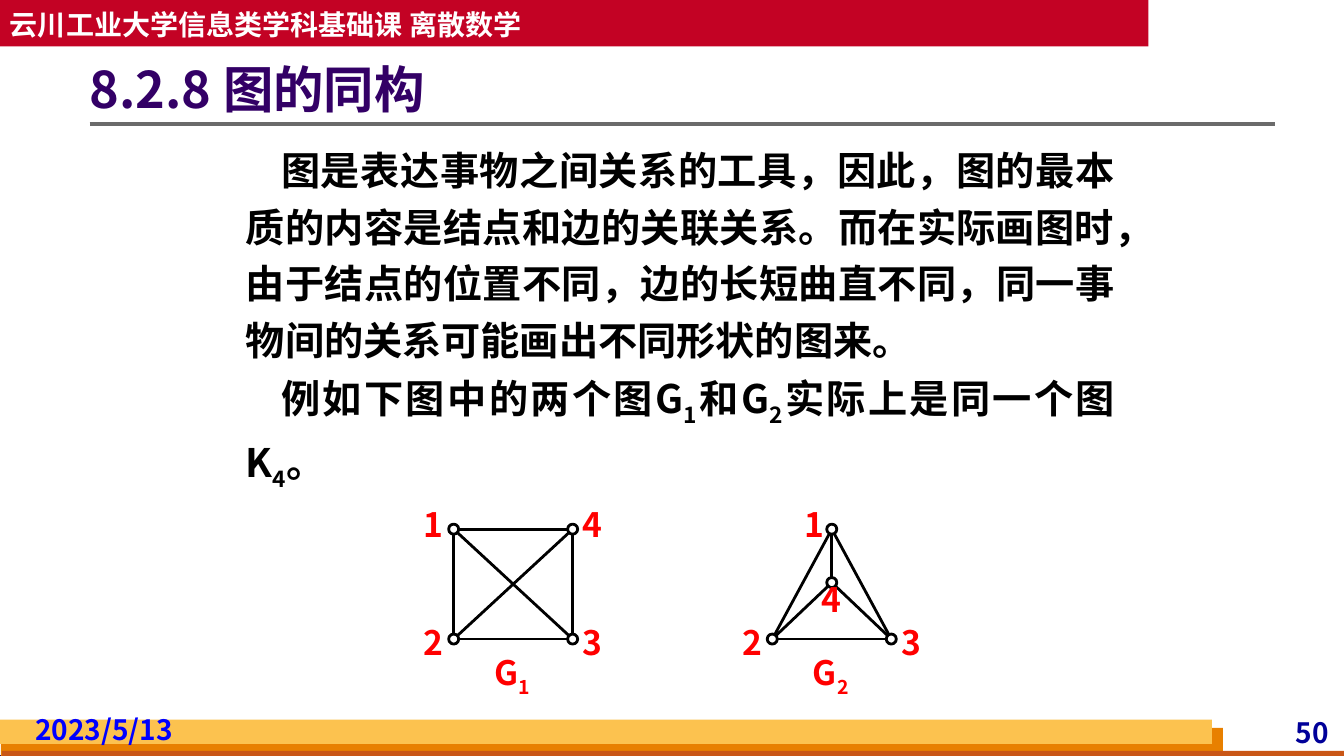
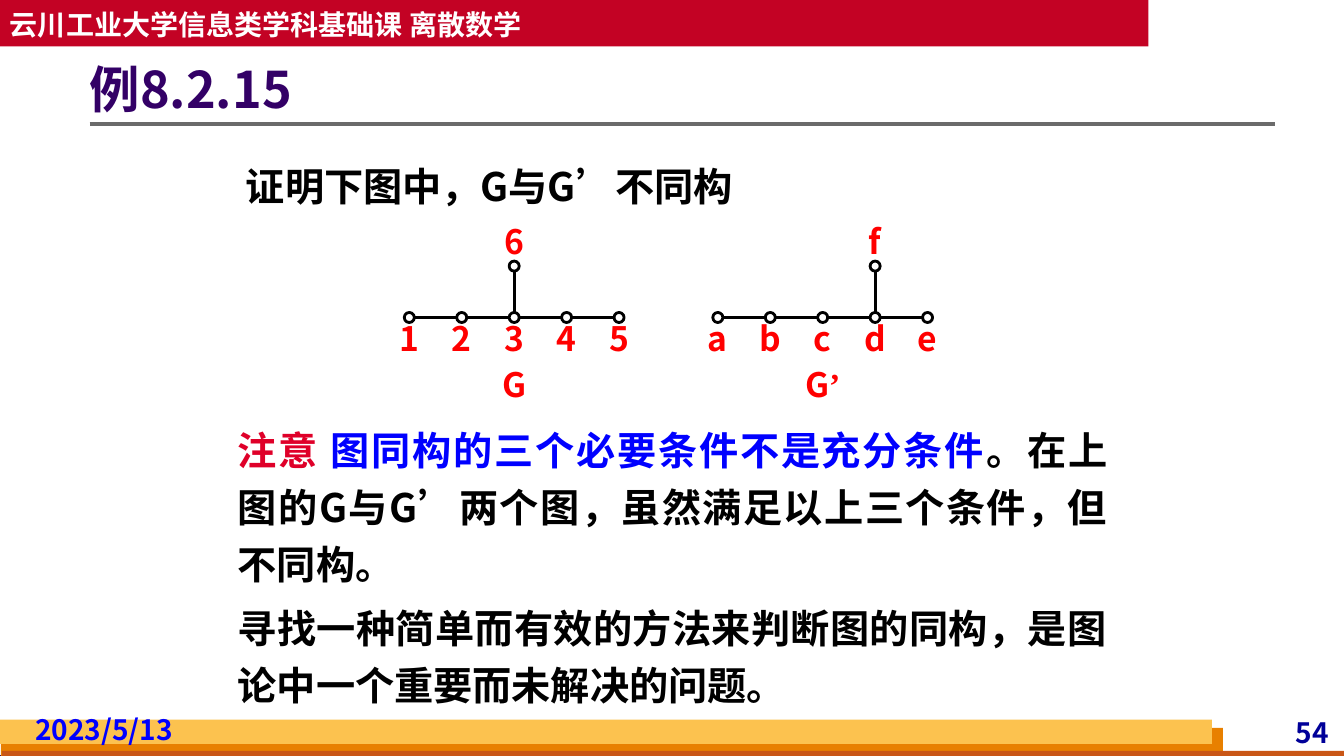
from lxml.etree import SubElement
from pptx import Presentation
from pptx.dml.color import RGBColor
from pptx.enum.shapes import MSO_CONNECTOR as CONN, MSO_SHAPE as SHAPE
from pptx.enum.text import MSO_ANCHOR as ANCHOR, PP_ALIGN as ALIGN
from pptx.oxml.ns import qn
from pptx.util import Pt

PX = 9144
FONT = "Noto Sans CJK SC"
RED, BLUE, BLACK, WHITE = "FF0000", "0000FF", "000000", "FFFFFF"
rgb = RGBColor.from_string
SUB = {"sub": True}
BODY_LINE = 40.4


def draw(sl, kind, box, fill, line=None, width=2):
    sp = sl.shapes.add_shape(kind, *[v * PX for v in box])
    sp.shadow.inherit = False
    sp.fill.solid()
    sp.fill.fore_color.rgb = rgb(fill)
    if line:
        sp.line.color.rgb = rgb(line)
        sp.line.width = Pt(width)
    else:
        sp.line.fill.background()
    return sp


def write(sl, box, paras, size, color, align=ALIGN.LEFT, anchor=ANCHOR.TOP,
          inset=(0, 0, 0, 0)):
    sp = sl.shapes.add_textbox(*[v * PX for v in box])
    tf = sp.text_frame
    tf.word_wrap = True
    tf.vertical_anchor = anchor
    (tf.margin_left, tf.margin_top,
     tf.margin_right, tf.margin_bottom) = [v * PX for v in inset]
    for i, (runs, layout) in enumerate(paras):
        p = tf.add_paragraph() if i else tf.paragraphs[0]
        p.alignment = align
        p.line_spacing = Pt(layout.get("line", size * 1.25))
        p.space_before = Pt(layout.get("before", 0))
        p.font.size = Pt(size)
        p.font.bold = True
        p.font.name = FONT
        p.font.color.rgb = rgb(color)
        pPr = p._p.get_or_add_pPr()
        pPr.set("indent", str(layout.get("indent", 0) * PX))
        SubElement(pPr.find(qn("a:defRPr")), qn("a:ea"), typeface=FONT)
        for text, style in runs:
            r = p.add_run()
            r.text = text
            if "color" in style:
                r.font.color.rgb = rgb(style["color"])
            if "font" in style:
                r.font.name = style["font"]
            if "sub" in style:
                r._r.get_or_add_rPr().set("baseline", "-25000")


BANDS = [
    ((1, 722, 1212, 28), "E88000"),
    ((2, 745, 1333, 8), "C95616"),
    ((0, 714, 1202, 24), "FCC24F"),
    ((0, 0, 1139, 46), "C30224"),
]

square = {
    "nodes": {"1": (450, 525, -20, -27), "2": (450, 634, -20, -19),
              "3": (568, 634, 20, -19), "4": (568, 525, 20, -27)},
    "edges": ["12", "13", "14", "23", "24", "34"],
    "caption": (508, 651, [("G", {}), ("1", SUB)]),
}
triangle = {
    "nodes": {"1": (825, 525, -17, -27), "2": (766, 634, -20, -19),
              "3": (884, 634, 20, -19), "4": (825, 578, 0, -5)},
    "edges": square["edges"],
    "caption": (824, 651, [("G", {}), ("2", SUB)]),
}

trees = []
for names, left, branch, caption in [
    ("123456", 406, 2, [("G", {})]),
    ("abcdef", 712, 3, [("G", {}), ("’", {"font": "Times New Roman"})]),
]:
    xs = [left + 52 * i for i in range(5)]
    nodes = {n: (x, 315, 0, -1) for n, x in zip(names, xs)}
    nodes[names[5]] = (xs[branch], 264, 0, -46)
    edges = [names[i:i + 2] for i in range(4)] + [names[branch] + names[5]]
    trees.append({"nodes": nodes, "edges": edges,
                  "caption": (xs[2], 359, caption)})

plain = {"line": BODY_LINE}
SLIDES = [
    {
        "number": "50",
        "title": "8.2.8 图的同构",
        "graphs": [square, triangle],
        "bodies": [((234, 131, 882, 356), [
            ([("图是表达事物之间关系的工具，因此，图的最本质的内容是结点和边的关联关系。"
               "而在实际画图时，由于结点的位置不同，边的长短曲直不同，"
               "同一事物间的关系可能画出不同形状的图来。", {})],
             {"line": BODY_LINE, "indent": 35}),
            ([("例如下图中的两个图G", {}), ("1", SUB), ("和G", {}), ("2", SUB),
              ("实际上是同一个图K", {}), ("4", SUB), ("。", {})],
             {"line": 46, "indent": 35}),
        ])],
    },
    {
        "number": "54",
        "title": "例8.2.15",
        "graphs": trees,
        "bodies": [
            ((234, 147, 882, 59), [([("证明下图中，G与G’不同构", {})], plain)]),
            ((226, 409, 882, 300), [
                ([("注意 ", {"color": "DF0029"}),
                  ("图同构的三个必要条件不是充分条件", {"color": BLUE}),
                  ("。在上图的G与G’两个图，虽然满足以上三个条件，但不同构。", {})],
                 plain),
                ([("寻找一种简单而有效的方法来判断图的同构，"
                   "是图论中一个重要而未解决的问题。", {})],
                 {"line": BODY_LINE, "before": 6}),
            ]),
        ],
    },
]

prs = Presentation()
prs.slide_width = 1333 * PX
prs.slide_height = 750 * PX

for content in SLIDES:
    sl = prs.slides.add_slide(prs.slide_layouts[6])
    sl.background.fill.solid()
    sl.background.fill.fore_color.rgb = rgb("D8DADA")
    draw(sl, SHAPE.RECTANGLE, (0, 0, 1334, 750), WHITE, "330066", 0.75)
    for box, fill in BANDS:
        draw(sl, SHAPE.RECTANGLE, box, fill)

    write(sl, (0, 0, 1139, 46), [([("云川工业大学信息类学科基础课 离散数学", {})], {})],
          20, WHITE, anchor=ANCHOR.MIDDLE, inset=(10, 5, 10, 5))
    write(sl, (1160, 708, 162, 33), [([(content["number"], {})], {})],
          20, "000099", ALIGN.RIGHT, inset=(4, 0, 4, 0))
    write(sl, (31, 705, 221, 33), [([("2023/5/13", {})], {})],
          20, BLUE, inset=(4, 0, 4, 0))
    write(sl, (89, 36, 1176, 101), [([(content["title"], {})], {})],
          36, "330066", anchor=ANCHOR.MIDDLE, inset=(0, 5, 10, 5))
    for box, paras in content["bodies"]:
        write(sl, box, paras, 28, BLACK, ALIGN.JUSTIFY, inset=(10, 5, 10, 5))

    lines = [((89, 123), (1265, 123), "6B6B6B", 3)]
    for graph in content["graphs"]:
        nodes = graph["nodes"]
        lines += [(nodes[a][:2], nodes[b][:2], BLACK, 2)
                  for a, b in graph["edges"]]
    for start, end, color, width in lines:
        cx = sl.shapes.add_connector(
            CONN.STRAIGHT, *[v * PX for v in start + end])
        cx.line.color.rgb = rgb(color)
        cx.line.width = Pt(width)
        SubElement(cx._element.spPr, qn("a:effectLst"))

    for graph in content["graphs"]:
        for name, (x, y, dx, dy) in graph["nodes"].items():
            draw(sl, SHAPE.OVAL, (x - 5, y - 5, 10, 10), WHITE, BLACK)
            write(sl, (x + dx - 15, y + dy, 30, 47), [([(name, {})], {})],
                  24, RED, ALIGN.CENTER)
        x, y, runs = graph["caption"]
        write(sl, (x - 30, y, 60, 47), [(runs, {})], 24, RED, ALIGN.CENTER)

prs.save("out.pptx")
